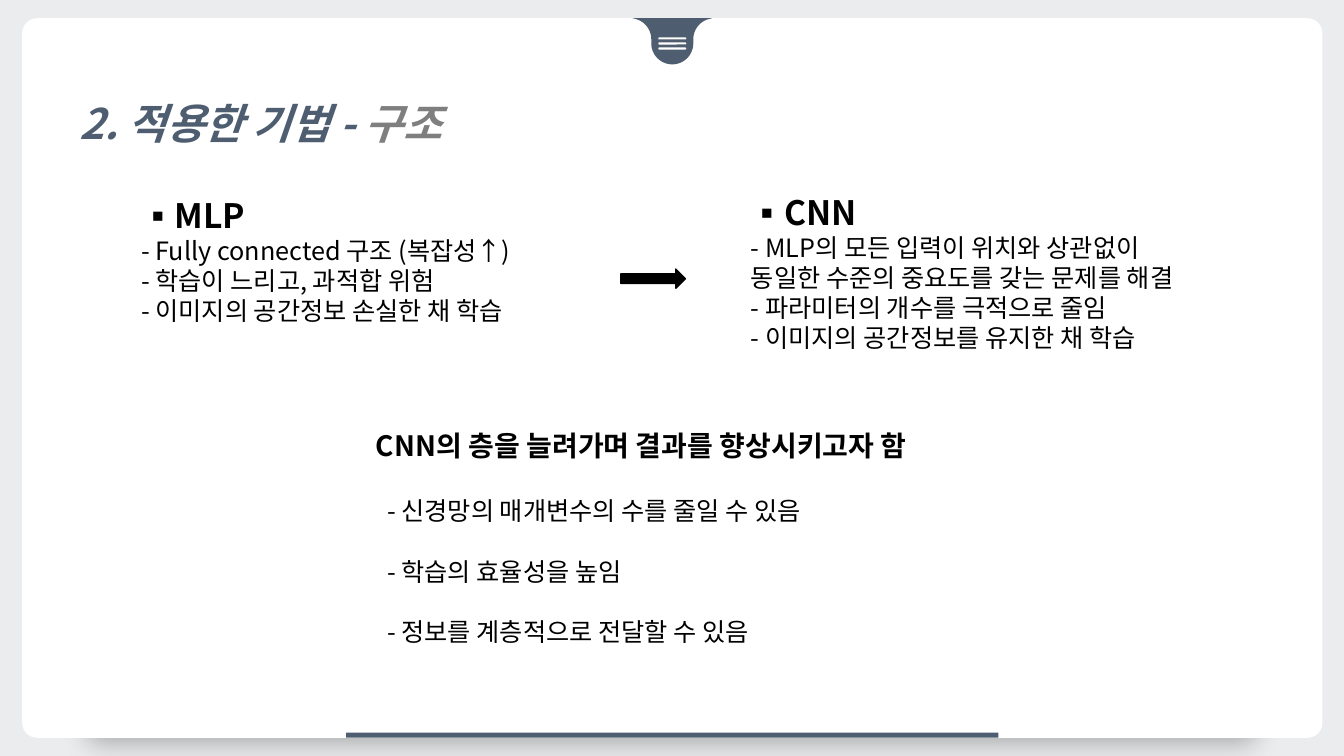
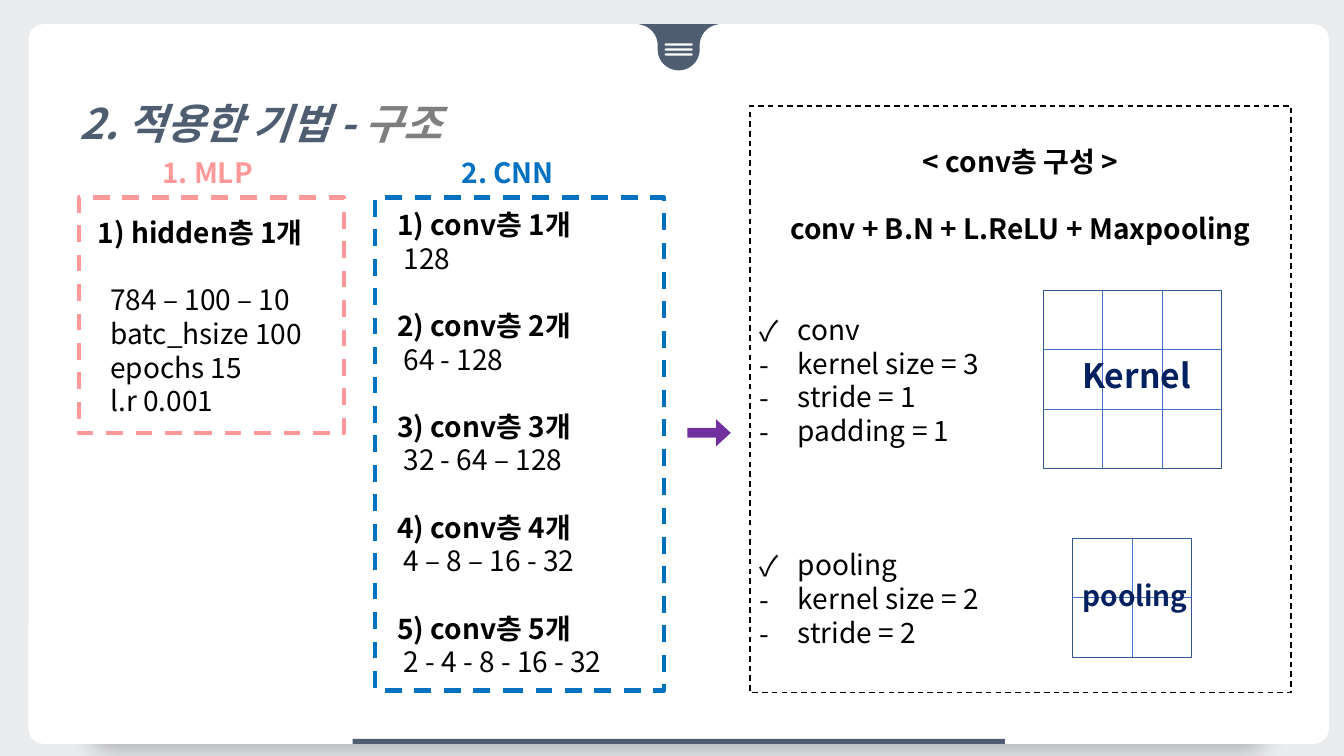
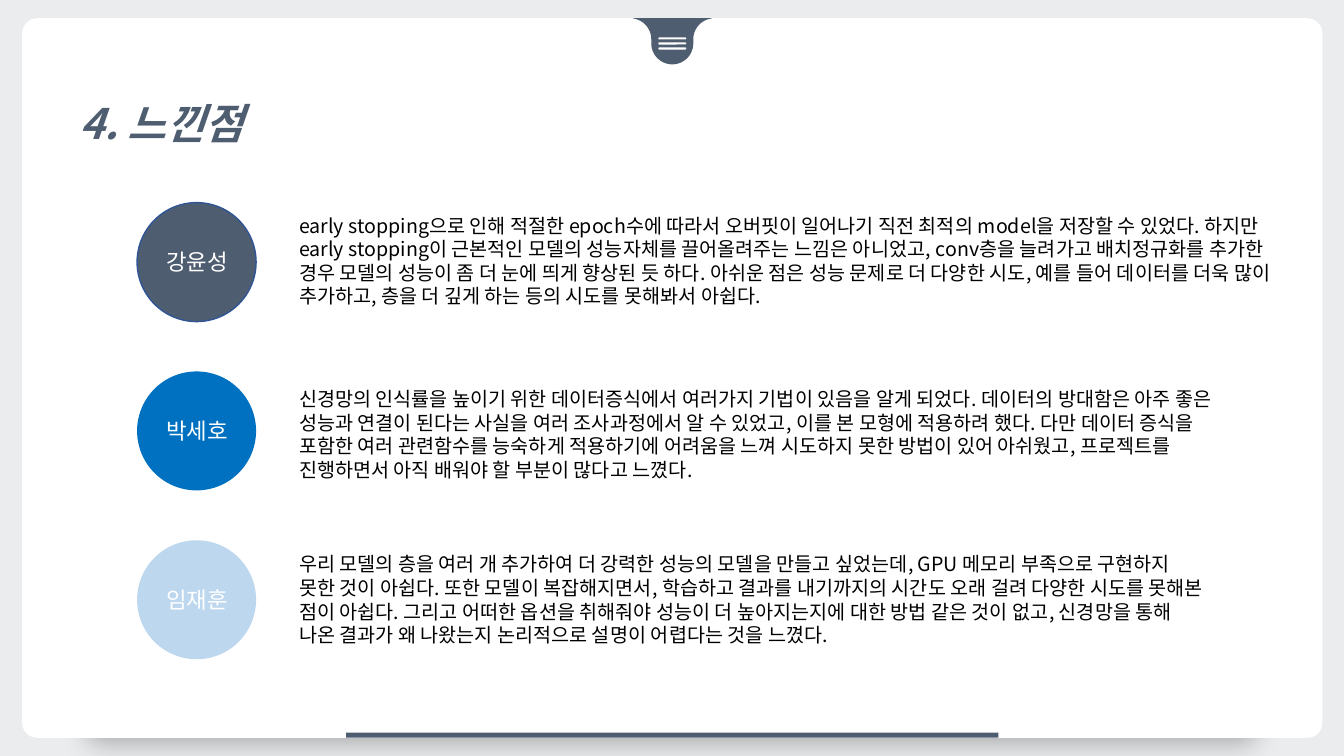
from dataclasses import dataclass
from math import cos, pi, sin

from lxml.etree import SubElement
from pptx import Presentation
from pptx.dml.color import RGBColor
from pptx.enum.dml import MSO_LINE
from pptx.enum.shapes import MSO_CONNECTOR, MSO_SHAPE as Preset
from pptx.enum.text import MSO_ANCHOR, MSO_AUTO_SIZE, PP_ALIGN as Align
from pptx.oxml import parse_xml
from pptx.oxml.ns import nsdecls, qn
from pptx.util import Pt

FONT = "Noto Sans CJK KR"
BLACK = RGBColor(0x00, 0x00, 0x00)
WHITE = RGBColor(0xFF, 0xFF, 0xFF)
PAPER = RGBColor(0xEB, 0xEC, 0xEE)
SLATE = RGBColor(0x4E, 0x5D, 0x70)
GREY = RGBColor(0x7F, 0x7F, 0x7F)
PINK = RGBColor(0xFF, 0x99, 0x99)
BLUE = RGBColor(0x00, 0x70, 0xC0)
PALE_BLUE = RGBColor(0xBD, 0xD7, 0xEE)
PURPLE = RGBColor(0x70, 0x30, 0xA0)
NAVY = RGBColor(0x00, 0x20, 0x60)
GRID_EDGE = RGBColor(0x32, 0x54, 0x91)
GRID_LINE = RGBColor(0x44, 0x72, 0xC4)
CIRCLE_EDGE = RGBColor(0x2F, 0x55, 0x97)

TITLE_ONLY, TWO_CONTENT = 5, 3
CARD_WIDTH, CARD_HEIGHT = 928.8, 514
CARD_SPOT = (15.84, 13)
SHIFTED_CARD_SPOT = (20.4, 17.3)
LINE_20, LINE_18 = 24, 21.6  # heights of one text line


@dataclass
class Line:
    text: str
    size: float = 18
    bold: bool = False
    color: RGBColor = BLACK
    bullet: str = ""
    margin: float = 0
    before: float = 0
    align: Align = Align.LEFT


def heading(text):
    return Line(text, 24, True, bullet="▪", margin=22.5)


def panel_list(name, settings, before):
    first = Line(name, 20, bullet="✓", margin=27, before=before)
    return [first] + [Line(text, 20, bullet="-", margin=27) for text in settings]


# Content

STRUCTURE_TITLE = [("2. 적용한 기법 - ", SLATE), ("구조", GREY)]
FEELINGS_TITLE = [("4. 느낀점", SLATE)]

MLP_TRAITS = [heading("MLP")] + [Line(text) for text in (
    "- Fully connected 구조 (복잡성↑)",
    "- 학습이 느리고, 과적합 위험",
    "- 이미지의 공간정보 손실한 채 학습",
)]
CNN_TRAITS = [heading("CNN")] + [Line(text) for text in (
    "- MLP의 모든 입력이 위치와 상관없이",
    "동일한 수준의 중요도를 갖는 문제를 해결",
    "- 파라미터의 개수를 극적으로 줄임",
    "- 이미지의 공간정보를 유지한 채 학습",
)]
CONCLUSION = [Line("CNN의 층을 늘려가며 결과를 향상시키고자 함", 20, True)] + [
    Line(text, before=before, margin=8) for text, before in (
        ("- 신경망의 매개변수의 수를 줄일 수 있음", LINE_20),
        ("- 학습의 효율성을 높임", LINE_18),
        ("- 정보를 계층적으로 전달할 수 있음", LINE_18),
    )]

MLP_SETUP = [Line("1) hidden층 1개", 20, True)] + [
    Line(text, 20, margin=9, before=before) for text, before in (
        ("784 – 100 – 10", LINE_20),
        ("batc_hsize 100", 0),
        ("epochs 15", 0),
        ("l.r 0.001", 0),
    )]
CHANNELS = ["128", "64 - 128", "32 - 64 – 128", "4 – 8 – 16 - 32", "2 - 4 - 8 - 16 - 32"]
CNN_SETUP = []
for count, channels in enumerate(CHANNELS, 1):
    CNN_SETUP += [
        Line(f"{count}) conv층 {count}개", 20, True, before=LINE_20 if count > 1 else 0),
        Line(channels, 20, margin=4.5),
    ]
CONV_PANEL = [
    Line("< conv층 구성 >", 20, True, align=Align.CENTER),
    Line("conv + B.N + L.ReLU + Maxpooling", 20, True, before=LINE_20, align=Align.CENTER),
    *panel_list("conv", ["kernel size = 3", "stride = 1", "padding = 1"], 2 * LINE_20),
    *panel_list("pooling", ["kernel size = 2", "stride = 2"], 3 * LINE_20),
]
# label, colour, label left, frame box
MODELS = [
    ("1. MLP", PINK, 108.7, (56.2, 141.1, 189.4, 168.5)),
    ("2. CNN", BLUE, 322.6, (267.8, 141.1, 206.6, 352.1)),
]
# label, size, label top, cells a side, left, top, side
GRIDS = [
    ("pooling", 20, 409.7, 2, 766.1, 384.5, 85),
    ("Kernel", 24, 249.8, 3, 745.2, 207.4, 127.4),
]

# name, fill, edge, text top, text width, text
FEELINGS = [
    ("강윤성", SLATE, CIRCLE_EDGE, 149, 708,
     "early stopping으로 인해 적절한 epoch수에 따라서 오버핏이 일어나기 직전 최적의 model을 저장할 수 있었다. "
     "하지만 early stopping이 근본적인 모델의 성능자체를 끌어올려주는 느낌은 아니었고, conv층을 늘려가고 "
     "배치정규화를 추가한 경우 모델의 성능이 좀 더 눈에 띄게 향상된 듯 하다. 아쉬운 점은 성능 문제로 더 다양한 시도, "
     "예를 들어 데이터를 더욱 많이 추가하고, 층을 더 깊게 하는 등의 시도를 못해봐서 아쉽다."),
    ("박세호", BLUE, None, 273, 668,
     "신경망의 인식률을 높이기 위한 데이터증식에서 여러가지 기법이 있음을 알게 되었다. 데이터의 방대함은 아주 "
     "좋은 성능과 연결이 된다는 사실을 여러 조사과정에서 알 수 있었고, 이를 본 모형에 적용하려 했다. 다만 데이터 "
     "증식을 포함한 여러 관련함수를 능숙하게 적용하기에 어려움을 느껴 시도하지 못한 방법이 있어 아쉬웠고, "
     "프로젝트를 진행하면서 아직 배워야 할 부분이 많다고 느꼈다."),
    ("임재훈", PALE_BLUE, None, 391, 661,
     "우리 모델의 층을 여러 개 추가하여 더 강력한 성능의 모델을 만들고 싶었는데, GPU 메모리 부족으로 구현하지 "
     "못한 것이 아쉽다. 또한 모델이 복잡해지면서, 학습하고 결과를 내기까지의 시간도 오래 걸려 다양한 시도를 "
     "못해본 점이 아쉽다. 그리고 어떠한 옵션을 취해줘야 성능이 더 높아지는지에 대한 방법 같은 것이 없고, "
     "신경망을 통해 나온 결과가 왜 나왔는지 논리적으로 설명이 어렵다는 것을 느꼈다."),
]


# Text

def points(*lengths):
    return [Pt(length) for length in lengths]


def add_span(para, text, size, color, bold=False, italic=False):
    span = para.add_run()
    span.text = text
    font = span.font
    font.name, font.size, font.bold, font.italic = FONT, Pt(size), bold, italic
    font.color.rgb = color
    SubElement(font._element, qn("a:ea"), typeface=FONT)


def set_bullet(para, bullet, margin):
    props = para._p.get_or_add_pPr()
    props.set("marL", str(Pt(margin)))
    props.set("indent", str(Pt(-margin if bullet else 0)))
    if bullet:
        SubElement(props, qn("a:buFont"), typeface=FONT)
        SubElement(props, qn("a:buChar"), char=bullet)
    else:
        SubElement(props, qn("a:buNone"))


def open_frame(shape):
    frame = shape.text_frame
    frame.word_wrap = True
    frame.auto_size = MSO_AUTO_SIZE.NONE
    frame.vertical_anchor = MSO_ANCHOR.TOP
    return frame


def write_lines(shape, lines):
    frame = open_frame(shape)
    for index, line in enumerate(lines):
        para = frame.add_paragraph() if index else frame.paragraphs[0]
        para.alignment = line.align
        para.space_before = Pt(line.before)
        set_bullet(para, line.bullet, line.margin)
        add_span(para, line.text, line.size, line.color, line.bold)


def add_text(page, box, lines):
    write_lines(page.shapes.add_textbox(*points(*box)), lines)


def place(shape, box):
    shape.left, shape.top, shape.width, shape.height = points(*box)


def fill_body(page, number, box, lines):
    body = page.placeholders[number]
    place(body, box)
    write_lines(body, lines)


# Shapes

def paint(shape, fill=None, edge=None, weight=1, dash=False):
    shape.shadow.inherit = False
    if fill is None:
        shape.fill.background()
    else:
        shape.fill.solid()
        shape.fill.fore_color.rgb = fill
    if edge is None:
        shape.line.fill.background()
    else:
        shape.line.color.rgb = edge
        shape.line.width = Pt(weight)
        if dash:
            shape.line.dash_style = MSO_LINE.DASH
    return shape


def add_preset(shapes, preset, box, fill=None, edge=None, weight=1, dash=False, adjust=()):
    shape = shapes.add_shape(preset, *points(*box))
    for index, value in enumerate(adjust):
        shape.adjustments[index] = value
    return paint(shape, fill, edge, weight, dash)


def add_rule(page, start, end):
    rule = page.shapes.add_connector(MSO_CONNECTOR.STRAIGHT, *points(*start, *end))
    rule.line.color.rgb = GRID_LINE
    rule.line.width = Pt(0.5)
    SubElement(rule._element.spPr, qn("a:effectLst"))
    return rule


def add_grid(page, cells, left, top, side):
    square = add_preset(page.shapes, Preset.RECTANGLE, (left, top, side, side), edge=GRID_EDGE)
    for step in range(1, cells):
        offset = side * step / cells
        upright = add_rule(page, (left + offset, top), (left + offset, top + side))
        level = add_rule(page, (left, top + offset), (left + side, top + offset))
        if 2 * step == cells:
            for rule, first, last in ((upright, 0, 2), (level, 1, 3)):
                rule.begin_connect(square, first)
                rule.end_connect(square, last)


# Shared frame

def curve(a, b, c, d, steps=12):
    """Points along a cubic Bezier."""
    result = []
    for step in range(steps + 1):
        t = step / steps
        weights = ((1 - t) ** 3, 3 * t * (1 - t) ** 2, 3 * t * t * (1 - t), t ** 3)
        result.append(tuple(sum(w * p[axis] for w, p in zip(weights, (a, b, c, d)))
                            for axis in (0, 1)))
    return result


def add_tab(shapes, center, top):
    flare = curve((26.5, 0.5), (20, 2), (15, 8), (15, 15))
    bowl = [(15 * cos(step * pi / 32), 18 + 15 * sin(step * pi / 32)) for step in range(17)]
    right = [(28.4, 0)] + flare + bowl
    outline = right + [(-x, y) for x, y in reversed(right)]
    corners = [points(center + x, top + y) for x, y in outline]
    builder = shapes.build_freeform(*corners[0])
    builder.add_line_segments(corners[1:], close=True)
    paint(builder.convert_to_shape(), SLATE)


def add_card_frame(page, left, top):
    group = page.shapes.add_group_shape()
    shapes = group.shapes
    center = left + CARD_WIDTH / 2
    card = add_preset(shapes, Preset.ROUNDED_RECTANGLE,
                      (left, top, CARD_WIDTH, CARD_HEIGHT), WHITE, adjust=[0.021])
    effects = card._element.spPr.find(qn("a:effectLst"))
    effects.append(parse_xml(
        f'<a:outerShdw {nsdecls("a")} blurRad="{Pt(19)}" dist="{Pt(55)}" dir="5400000" '
        'sx="90000" sy="90000" algn="t" rotWithShape="0"><a:srgbClr val="000000">'
        '<a:alpha val="27000"/></a:srgbClr></a:outerShdw>'))
    add_tab(shapes, center, top)
    for row in range(3):
        add_preset(shapes, Preset.ROUNDED_RECTANGLE,
                   (center - 10, top + 13.7 + 3.6 * row, 20, 1.5), WHITE, adjust=[0.5])
    add_preset(shapes, Preset.RECTANGLE,
               (center - 233, top + CARD_HEIGHT - 3.6, 466, 3.6), SLATE)
    group.element.getparent().insert(2, group.element)  # behind the placeholders


def add_page(deck, layout, title, card_spot=CARD_SPOT):
    page = deck.slides.add_slide(deck.slide_layouts[layout])
    add_card_frame(page, *card_spot)
    place(page.shapes.title, (49.7, 48.2, 895, 54.7))
    para = open_frame(page.shapes.title).paragraphs[0]
    para.alignment = Align.LEFT
    para.line_spacing = 1.5
    for text, color in title:
        add_span(para, text, 30, color, bold=True, italic=True)
    return page


# Slides

def build_comparison(deck):
    page = add_page(deck, TWO_CONTENT, STRUCTURE_TITLE)
    fill_body(page, 1, (93.6, 135.4, 805, 133.2), MLP_TRAITS)
    fill_body(page, 2, (529.2, 133.2, 430, 123.8), CNN_TRAITS)
    add_preset(page.shapes, Preset.RIGHT_ARROW, (443.5, 192.2, 46.1, 13.7), BLACK, BLACK)
    add_text(page, (261.4, 302.4, 437.8, 164.9), CONCLUSION)


def build_structure(deck):
    page = add_page(deck, TWO_CONTENT, STRUCTURE_TITLE, SHIFTED_CARD_SPOT)
    fill_body(page, 1, (62.6, 150.5, 223.2, 177.1), MLP_SETUP)
    fill_body(page, 2, (276.5, 144.7, 259.9, 370.8), CNN_SETUP)
    for label, color, left, box in MODELS:
        add_preset(page.shapes, Preset.RECTANGLE, box, edge=color, weight=3, dash=True)
        add_text(page, (left, 107.3, 117.4, 31.7), [Line(label, 20, True, color)])
    add_preset(page.shapes, Preset.RIGHT_ARROW, (491, 299.5, 31, 19.4), PURPLE,
               adjust=[0.36, 0.54])
    panel = add_preset(page.shapes, Preset.RECTANGLE, (535.7, 75.6, 386.6, 419), WHITE,
                       BLACK, dash=True)
    write_lines(panel, CONV_PANEL)
    panel.text_frame.margin_top = Pt(3.6 + LINE_20)
    for label, size, label_top, *grid in GRIDS:
        add_grid(page, *grid)
        add_text(page, (766.1, label_top, 107.3, 34), [Line(label, size, True, NAVY)])


def build_feelings(deck):
    page = add_page(deck, TITLE_ONLY, FEELINGS_TITLE)
    for row, (name, fill, edge, text_top, width, text) in enumerate(FEELINGS):
        top = 144.7 + 120.6 * row
        add_preset(page.shapes, Preset.OVAL, (97.9, top, 85, 85), fill, edge)
        add_text(page, (62.6, top + 28.9, 156.2, 26.6),
                 [Line(name, 16, color=WHITE, align=Align.CENTER)])
        add_text(page, (206.6, text_top, width, 74.9), [Line(text, 14)])


def main():
    deck = Presentation()
    deck.slide_width, deck.slide_height = points(960, 540)
    backdrop = deck.slide_master.background.fill
    backdrop.solid()
    backdrop.fore_color.rgb = PAPER
    build_comparison(deck)
    build_structure(deck)
    build_feelings(deck)
    deck.save("out.pptx")


if __name__ == "__main__":
    main()
